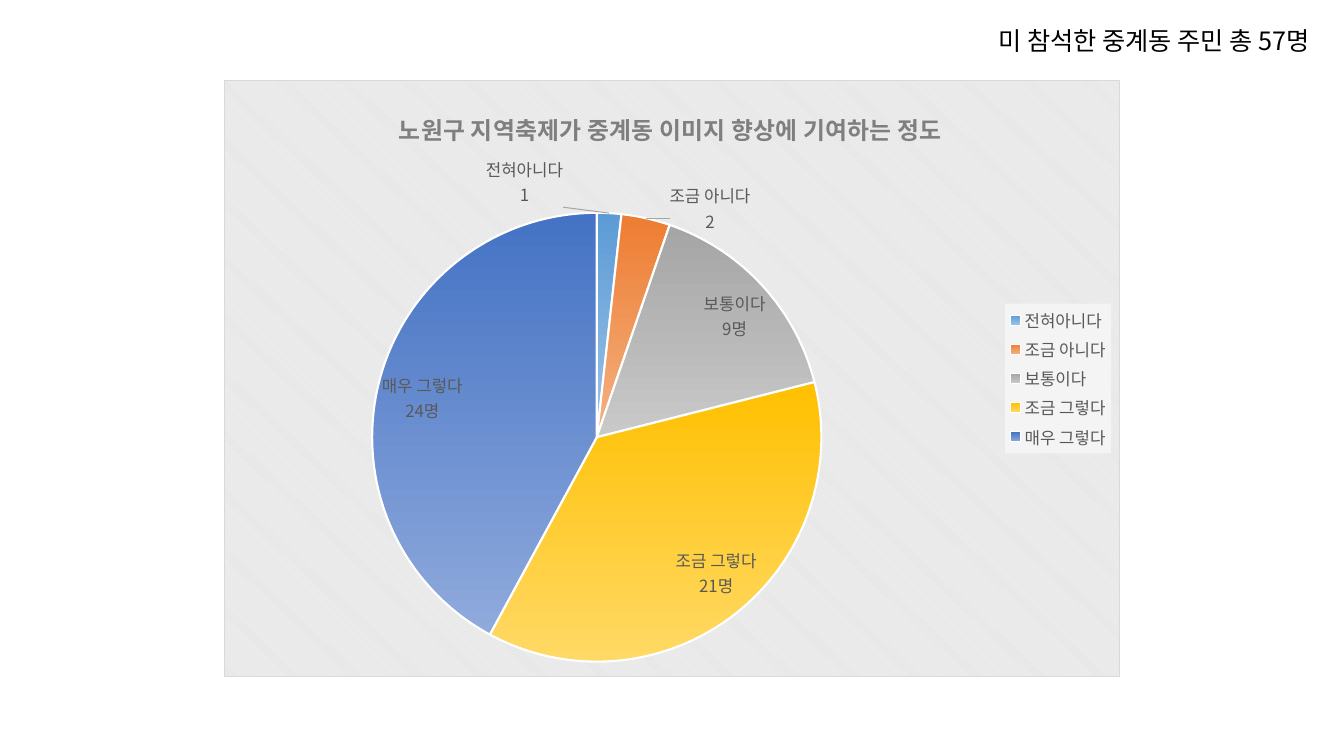
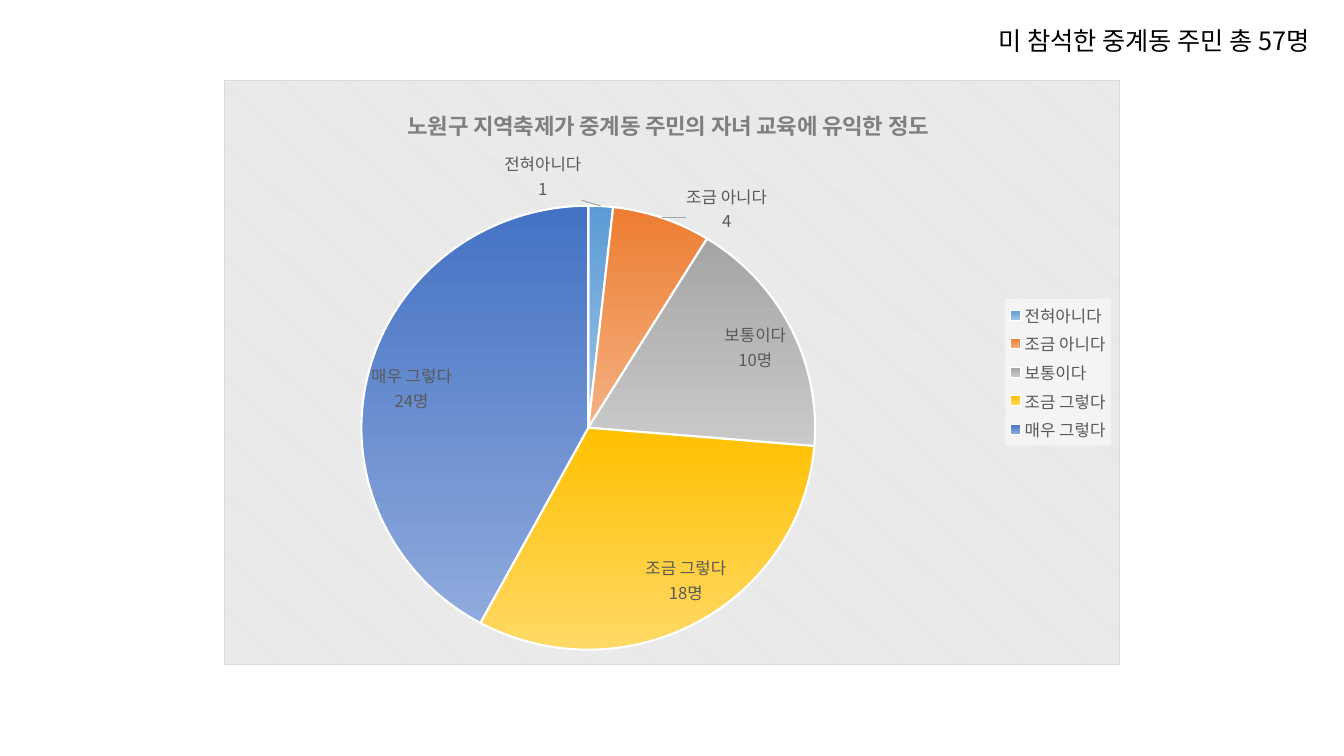
import pptx
import pptx.chart.data
import pptx.dml.color
import pptx.enum.chart
import pptx.enum.text
import pptx.oxml
import pptx.oxml.ns
import pptx.util

SLIDE_WIDTH, SLIDE_HEIGHT = 13.33, 7.5
FONT = "Noto Sans CJK KR"
BLACK, GREY, TITLE_GREY, WHITE = "000000", "595959", "7F7F7F", "FFFFFF"
LEADER, BORDER, STRIPE, LEGEND_FILL = "A6A6A6", "D9D9D9", "E6E6E6", "F4F4F4"

HEADING = "미 참석한 중계동 주민 총 57명"
HEADING_BOX = (9.8, 0.2, 3.7, 0.4)
CHART_BOX = (SLIDE_WIDTH / 6, 0.79, SLIDE_WIDTH * 2 / 3, 5.93)

# Each answer: name, gradient start, gradient end
ANSWERS = [
    ("전혀아니다", "5B9BD5", "9DC3E6"),
    ("조금 아니다", "ED7D31", "F4B183"),
    ("보통이다", "A5A5A5", "C9C9C9"),
    ("조금 그렇다", "FFC000", "FFD966"),
    ("매우 그렇다", "4472C4", "8FAADC"),
]
FIRST_COUNTED = 2  # from this answer on, labels count people

# Positions, pie boxes and label shifts are shares of the chart's size
SURVEYS = [
    {
        "title": "노원구 지역축제가 중계동 이미지 향상에 기여하는 정도",
        "title_size": 17,
        "title_at": (0.19, 0.04),
        "votes": (1, 2, 9, 21, 24),
        "pie": (0.165, 0.222, 0.502, 0.753),
        "shifts": [(-0.095, 0), (0.025, 0.035), (-0.07, 0.1), (-0.07, -0.12), (0.1, 0.07)],
    },
    {
        "title": "노원구 지역축제가 중계동 주민의 자녀 교육에 유익한 정도",
        "title_size": 16,
        "title_at": (0.2, 0.04),
        "votes": (1, 4, 10, 18, 24),
        "pie": (0.153, 0.215, 0.507, 0.76),
        "shifts": [(-0.065, 0), (0.025, 0.035), (-0.08, 0.08), (-0.06, -0.125), (0.1, 0.07)],
    },
]


def color(hex_string):
    """Turn a hex string into a colour."""
    return pptx.dml.color.RGBColor.from_string(hex_string)


def inches(box):
    """Convert a box of numbers to lengths."""
    return [pptx.util.Inches(value) for value in box]


def style_font(font, size, hex_string, bold=False):
    """Set typeface, size, colour and weight, for Latin and Korean text."""
    font.name, font.size, font.bold = FONT, pptx.util.Pt(size), bold
    font.color.rgb = color(hex_string)
    latin = font._element.find(pptx.oxml.ns.qn("a:latin"))
    latin.addnext(element("a:ea", f' typeface="{FONT}"'))


def element(tag, attributes="", content=""):
    """Build a chart or drawing element."""
    spaces = pptx.oxml.ns.nsdecls("a", "c")
    return pptx.oxml.parse_xml(f"<{tag} {spaces}{attributes}>{content}</{tag}>")


def solid(hex_string):
    """Return the markup of a solid fill."""
    return f'<a:solidFill><a:srgbClr val="{hex_string}"/></a:solidFill>'


def set_layout(parent, index, position, inner=False):
    """Give a chart part a manual layout, as shares of the chart."""
    for old in parent.findall(pptx.oxml.ns.qn("c:layout")):
        parent.remove(old)
    content = '<c:layoutTarget val="inner"/>' if inner else ""
    if len(position) == 4 or parent.tag.endswith("title"):
        content += '<c:xMode val="edge"/><c:yMode val="edge"/>'
    content += "".join(f'<c:{key} val="{value}"/>' for key, value in zip("xywh", position))
    layout = element("c:layout", "", f"<c:manualLayout>{content}</c:manualLayout>")
    parent.insert(index, layout)


def set_area(parent, content):
    """Put fill and line before the text properties of a chart part."""
    parent.find(pptx.oxml.ns.qn("c:txPr")).addprevious(element("c:spPr", "", content))


def style_label(label, text, shift):
    """Show a slice's name over its value, moved from its usual place."""
    label.position = pptx.enum.chart.XL_LABEL_POSITION.BEST_FIT
    if text:
        label.text_frame.text = text
        for paragraph in label.text_frame.paragraphs:
            style_font(paragraph.runs[0].font, 12, GREY)
    else:
        style_font(label.font, 12, GREY)
    data_label = label._dLbl
    data_label.find(pptx.oxml.ns.qn("c:showCatName")).set("val", "1")
    data_label.append(element("c:separator", "", "\n"))
    set_layout(data_label, 1, shift)


def style_slices(series, survey):
    """Colour and label every slice."""
    labels = series.data_labels
    labels.show_value = labels.show_category_name = True
    labels.position = pptx.enum.chart.XL_LABEL_POSITION.BEST_FIT
    style_font(labels.font, 12, GREY)
    line = f'<c:spPr><a:ln w="9525">{solid(LEADER)}</a:ln></c:spPr>'
    labels._element.append(element("c:leaderLines", "", line))
    rows = zip(ANSWERS, survey["votes"], survey["shifts"])
    for index, ((name, start, end), votes, shift) in enumerate(rows):
        point = series.points[index]
        point.format.fill.gradient()
        point.format.fill.gradient_angle = 270
        for stop, shade in zip(point.format.fill.gradient_stops, (start, end)):
            stop.color.rgb = color(shade)
        point.format.line.color.rgb = color(WHITE)
        point.format.line.width = pptx.util.Pt(1.5)
        text = f"{name}\n{votes}명" if index >= FIRST_COUNTED else ""
        style_label(point.data_label, text, shift)


def add_pie(slide, survey):
    """Add the pie chart of one survey question."""
    data = pptx.chart.data.CategoryChartData()
    data.categories = [answer[0] for answer in ANSWERS]
    data.add_series("Series 1", survey["votes"])
    pie = pptx.enum.chart.XL_CHART_TYPE.PIE
    chart = slide.shapes.add_chart(pie, *inches(CHART_BOX), data).chart
    style_font(chart.font, 10, BLACK)
    pattern = (f'<a:pattFill prst="dkDnDiag"><a:fgClr><a:srgbClr val="{WHITE}"/></a:fgClr>'
               f'<a:bgClr><a:srgbClr val="{STRIPE}"/></a:bgClr></a:pattFill>')
    set_area(chart._chartSpace, f'{pattern}<a:ln w="9525">{solid(BORDER)}</a:ln>')

    chart.has_title = True
    frame = chart.chart_title.text_frame
    frame.text = survey["title"]
    style_font(frame.paragraphs[0].runs[0].font, survey["title_size"], TITLE_GREY, True)
    set_layout(chart.chart_title._element, 1, survey["title_at"])

    chart.has_legend = True
    chart.legend.position = pptx.enum.chart.XL_LEGEND_POSITION.RIGHT
    chart.legend.include_in_layout = False
    style_font(chart.legend.font, 12, GREY)
    set_area(chart.legend._element, solid(LEGEND_FILL))

    plot = chart.plots[0]
    plot.vary_by_categories = True
    set_layout(chart._chartSpace.chart.plotArea, 0, survey["pie"], inner=True)
    style_slices(plot.series[0], survey)


def add_heading(slide):
    """Format the title placeholder as the heading at the top right."""
    title = slide.shapes.title
    title.left, title.top, title.width, title.height = inches(HEADING_BOX)
    frame = title.text_frame
    frame.text = HEADING
    frame.word_wrap = False
    frame.auto_size = pptx.enum.text.MSO_AUTO_SIZE.SHAPE_TO_FIT_TEXT
    frame.vertical_anchor = pptx.enum.text.MSO_ANCHOR.TOP
    paragraph = frame.paragraphs[0]
    paragraph.alignment = pptx.enum.text.PP_ALIGN.LEFT
    style_font(paragraph.runs[0].font, 18, BLACK)


def main():
    """Build one slide per survey question."""
    presentation = pptx.Presentation()
    presentation.slide_width, presentation.slide_height = inches((SLIDE_WIDTH, SLIDE_HEIGHT))
    for survey in SURVEYS:
        slide = presentation.slides.add_slide(presentation.slide_layouts[5])
        add_pie(slide, survey)
        add_heading(slide)
    presentation.save("out.pptx")


main()
